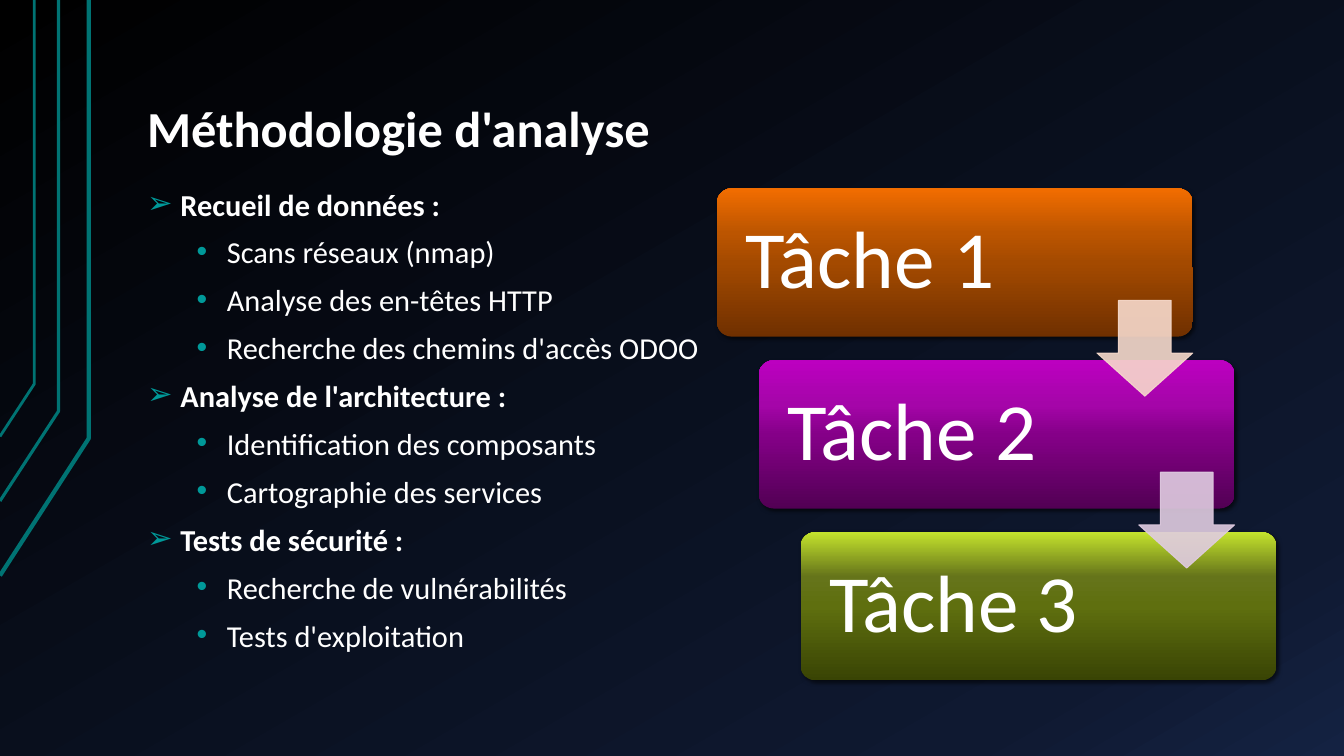
import pptx
import pptx.util
import pptx.dml.color
import pptx.enum.shapes
import pptx.enum.text
import pptx.oxml
from pptx.oxml.ns import nsdecls, qn
from dataclasses import dataclass

TITLE = "Méthodologie d'analyse"
METHOD = [
    ("Recueil de données :",
     ["Scans réseaux (nmap)", "Analyse des en-têtes HTTP", "Recherche des chemins d'accès ODOO"]),
    ("Analyse de l'architecture :",
     ["Identification des composants", "Cartographie des services"]),
    ("Tests de sécurité :",
     ["Recherche de vulnérabilités", "Tests d'exploitation"]),
]
# label, gradient from bottom to top, colour of the arrow to the next task
TASKS = [
    ("Tâche\u00a01", [(0, "703000"), (50, "A44A00"), (70, "BC5500"), (100, "F26D00")], "F7DACC"),
    ("Tâche\u00a02", [(0, "520054"), (50, "850088"), (70, "A505A9"), (100, "BC00C0")], "E0CCE1"),
    ("Tâche\u00a03", [(0, "394404"), (50, "5F6F0F"), (70, "65741A"), (100, "C4E32D")], None),
]
# height at the slide's left edge, bend x, bend y, line width
CIRCUIT = [
    (5.71, 0.88, 4.35, 3),
    (4.97, 0.58, 4.08, 2.25),
    (4.33, 0.34, 3.81, 2),
]


@dataclass(frozen=True)
class Theme:
    font: str = "Calibri"
    text: str = "FFFFFF"
    bullet: str = "009999"
    circuit: str = "007373"
    backdrop: tuple = ((0, "000000"), (85, "0F1931"), (100, "142242"))
    title_size: float = 36
    body_size: float = 21.7
    task_size: float = 58


THEME = Theme()
SLIDE_W, SLIDE_H = 13.33, 7.5
LEFT, BODY_TOP = 1.33, 1.87
TASK_W, TASK_H, TASK_LEFT = 4.72, 1.47, 7.11
STEP_X, STEP_Y = 0.415, 1.705
ARROW, ARROW_DROP = 0.95, 1.11
INSETS = (0.13, 0.07, 0.13, 0.07)
Inches, Pt = pptx.util.Inches, pptx.util.Pt
SHAPE = pptx.enum.shapes.MSO_SHAPE
ANCHOR = pptx.enum.text.MSO_ANCHOR


def rgb(colour):
    return pptx.dml.color.RGBColor.from_string(colour)


def xml(markup):
    """Parse one element in the drawing namespace; {ns} marks the declaration."""
    return pptx.oxml.parse_xml(markup.replace("{ns}", nsdecls("a")))


def set_gradient(fill, owner, stops, angle):
    fill.gradient()
    gradient = owner.find(".//" + qn("a:gradFill"))
    marks = "".join(f'<a:gs pos="{pos * 1000}"><a:srgbClr val="{colour}"/></a:gs>'
                    for pos, colour in stops)
    gradient.getparent().replace(gradient, xml(
        f'<a:gradFill {{ns}} rotWithShape="1"><a:gsLst>{marks}</a:gsLst>'
        f'<a:lin ang="{angle * 60000}" scaled="0"/></a:gradFill>'))


def set_frame(frame, anchor, insets):
    frame.word_wrap = True
    frame.vertical_anchor = anchor
    (frame.margin_left, frame.margin_top,
     frame.margin_right, frame.margin_bottom) = map(Inches, insets)


def style(paragraph, size, bold=False, spacing=0.9):
    paragraph.alignment = pptx.enum.text.PP_ALIGN.LEFT
    paragraph.line_spacing = spacing
    font = paragraph.runs[0].font
    font.name, font.size, font.bold = THEME.font, Pt(size), bold
    font.color.rgb = rgb(THEME.text)


def set_bullet(paragraph, mark, margin, hanging):
    props = paragraph._p.get_or_add_pPr()
    props.set("marL", str(Inches(margin)))
    props.set("indent", str(-Inches(hanging)))
    props.append(xml(f'<a:buClr {{ns}}><a:srgbClr val="{THEME.bullet}"/></a:buClr>'))
    props.append(xml('<a:buFont {ns} typeface="Arial"/>'))
    props.append(xml(f'<a:buChar {{ns}} char="{mark}"/>'))


def add_text_box(slide, top, width, height, anchor):
    frame = slide.shapes.add_textbox(*map(Inches, (LEFT, top, width, height))).text_frame
    set_frame(frame, anchor, INSETS)
    return frame


def add_circuit(slide):
    for edge_y, bend_x, bend_y, width in CIRCUIT:
        edge_y, bend_x, bend_y = map(Inches, (edge_y, bend_x, bend_y))
        builder = slide.shapes.build_freeform(0, edge_y)
        builder.add_line_segments([(bend_x, bend_y), (bend_x, 0)], close=False)
        trace = builder.convert_to_shape()
        trace.shadow.inherit = False
        trace.fill.background()
        trace.line.color.rgb = rgb(THEME.circuit)
        trace.line.width = Pt(width)


def add_method(slide):
    frame = add_text_box(slide, BODY_TOP, 6.2, 4.88, ANCHOR.TOP)
    lines = [(text, text == heading)
             for heading, details in METHOD for text in [heading, *details]]
    for i, (text, is_heading) in enumerate(lines):
        paragraph = frame.add_paragraph() if i else frame.paragraphs[0]
        paragraph.text = text
        set_bullet(paragraph, *(("➢", 0.33, 0.33) if is_heading else ("•", 0.79, 0.3)))
        style(paragraph, THEME.body_size, is_heading, 0.7)
        if i:
            paragraph.space_before = Pt(16)


def add_task(slide, left, top, label, stops):
    task = slide.shapes.add_shape(SHAPE.ROUNDED_RECTANGLE,
                                  *map(Inches, (left, top, TASK_W, TASK_H)))
    task.adjustments[0] = 0.1
    set_gradient(task.fill, task.element.spPr, stops, 270)
    task.line.fill.background()
    task.shadow.inherit = False
    task.element.spPr.find(qn("a:effectLst")).append(xml(
        f'<a:outerShdw {{ns}} blurRad="{Pt(3)}" dist="{Pt(2)}" dir="2700000" rotWithShape="0">'
        '<a:srgbClr val="000000"><a:alpha val="60000"/></a:srgbClr></a:outerShdw>'))
    set_frame(task.text_frame, ANCHOR.MIDDLE, (0.24,) * 4)
    task.text_frame.text = label
    style(task.text_frame.paragraphs[0], THEME.task_size)


def add_arrow(slide, left, top, colour):
    arrow = slide.shapes.add_shape(SHAPE.DOWN_ARROW, *map(Inches, (left, top, ARROW, ARROW)))
    arrow.adjustments[0], arrow.adjustments[1] = 0.55, 0.45
    arrow.shadow.inherit = False
    arrow.fill.solid()
    arrow.fill.fore_color.rgb = rgb(colour)
    arrow.line.color.rgb = rgb(colour)
    arrow.line.width = Pt(0.75)
    for tint in arrow.element.spPr.iter(qn("a:srgbClr")):
        tint.append(xml('<a:alpha {ns} val="90000"/>'))


def main():
    deck = pptx.Presentation()
    deck.slide_width, deck.slide_height = Inches(SLIDE_W), Inches(SLIDE_H)
    slide = deck.slides.add_slide(deck.slide_layouts[6])
    set_gradient(slide.background.fill, slide.element, THEME.backdrop, 60)
    add_circuit(slide)

    title = add_text_box(slide, 0.3, 11.33, 1.34, ANCHOR.BOTTOM)
    title.text = TITLE
    style(title.paragraphs[0], THEME.title_size, bold=True)
    add_method(slide)

    places = [(TASK_LEFT + i * STEP_X, BODY_TOP + i * STEP_Y) for i in range(len(TASKS))]
    for (left, top), (label, stops, _) in zip(places, TASKS):
        add_task(slide, left, top, label, stops)
    for (left, top), (_, _, colour) in zip(places, TASKS):
        if colour:
            add_arrow(slide, left + TASK_W - ARROW, top + ARROW_DROP, colour)
    deck.save("out.pptx")


if __name__ == "__main__":
    main()
